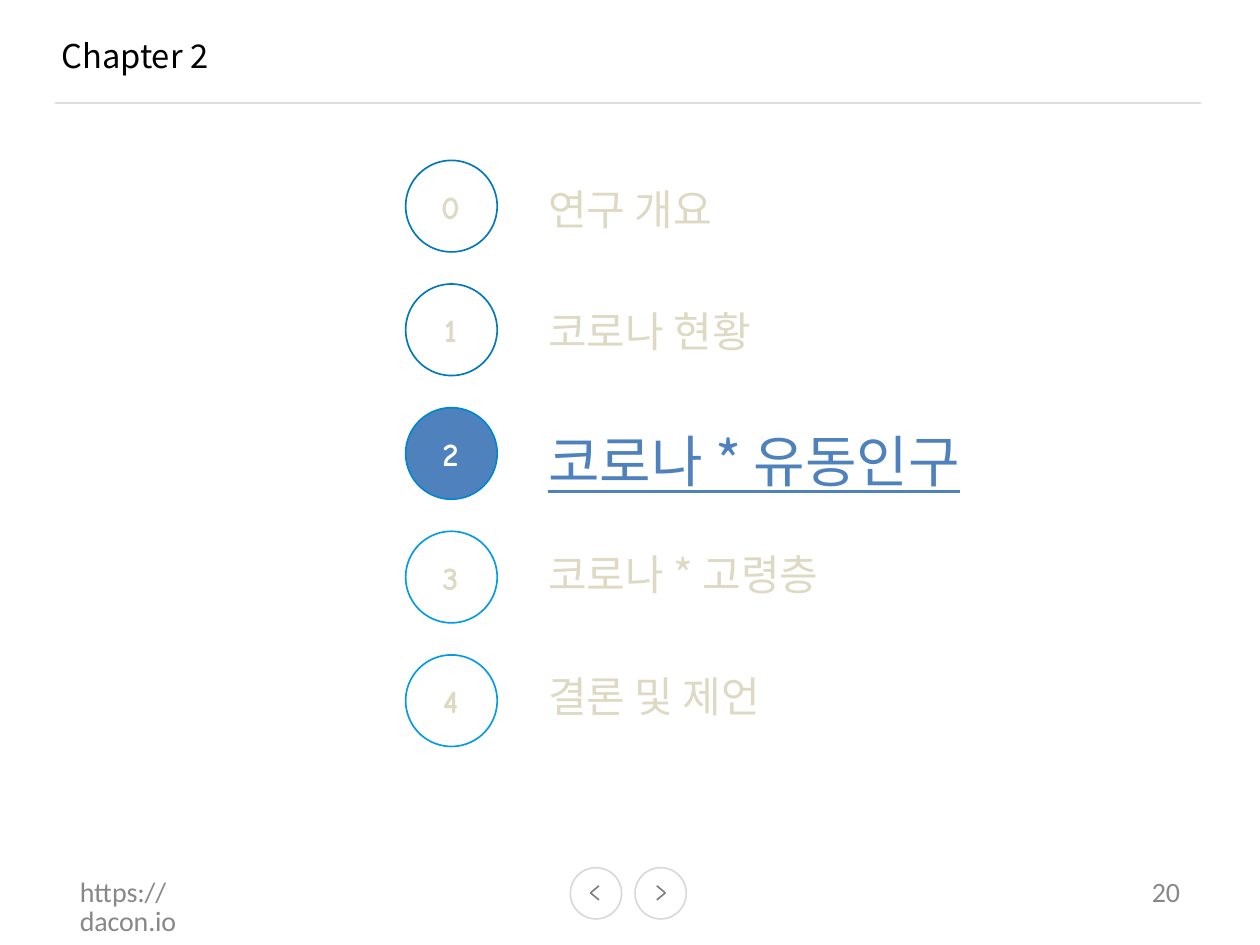
from lxml import etree
from pptx import Presentation
from pptx.dml.color import RGBColor
from pptx.enum.shapes import MSO_CONNECTOR, MSO_SHAPE
from pptx.enum.text import MSO_ANCHOR, MSO_AUTO_SIZE, PP_ALIGN
from pptx.oxml.ns import qn
from pptx.util import Inches, Pt

OVAL = MSO_SHAPE.OVAL
STRAIGHT = MSO_CONNECTOR.STRAIGHT
TOP, MIDDLE = MSO_ANCHOR.TOP, MSO_ANCHOR.MIDDLE
LEFT, CENTER, RIGHT = PP_ALIGN.LEFT, PP_ALIGN.CENTER, PP_ALIGN.RIGHT
NO_AUTOSIZE = MSO_AUTO_SIZE.NONE

KOREAN, DIGITS, FOOTER = "Noto Sans CJK KR", "Comic Neue", "Calibri"
BLACK, WHITE, BLUE, BEIGE = "000000", "FFFFFF", "4F81BD", "DDD9C3"
RULE, RING, CHEVRON, GREY = "DFDFDF", "D9D9D9", "7E7E7E", "888888"
THIN = 0.72

# Chapter label and ring colour
CHAPTERS = [
    ("연구 개요", "0177BC"),
    ("코로나 현황", "0177BC"),
    ("코로나 * 유동인구", "0187D1"),
    ("코로나 * 고령층", "039BE4"),
    ("결론 및 제언", "039BE4"),
]
CURRENT = 2


def rgb(value):
    return RGBColor.from_string(value)


def grid(*cells):
    """Columns and rows are a tenth of an inch each."""
    return [Inches(c / 10) for c in cells]


def write(tf, text, size=14, font=KOREAN, color=BLACK, bold=False, underline=False,
          align=LEFT, anchor=TOP, margins=(0, 0, 0, 0), leading=None, spacing=0):
    tf.word_wrap = True
    tf.auto_size = NO_AUTOSIZE
    tf.vertical_anchor = anchor
    tf.margin_left, tf.margin_top, tf.margin_right, tf.margin_bottom = grid(*margins)
    p = tf.paragraphs[0]
    p.alignment = align
    p.space_before = Pt(0)
    if leading:
        p.line_spacing = Pt(leading)
    r = p.add_run()
    r.text = text
    r.font.size, r.font.name = Pt(size), font
    r.font.bold, r.font.underline = bold, underline
    r.font.color.rgb = rgb(color)
    # Kerning off, letter spacing in hundredths of a point, East Asian typeface
    rpr = r.font._element
    rpr.set("kern", "0")
    rpr.set("spc", str(spacing))
    rpr.find(qn("a:latin")).addnext(rpr.makeelement(qn("a:ea"), {"typeface": font}))


class Deck:
    def __init__(self, width, height):
        self.prs = Presentation()
        self.prs.slide_width, self.prs.slide_height = grid(width, height)
        self.s = self.prs.slides.add_slide(self.prs.slide_layouts[5])

    def title(self, text, x, y, w, h, **style):
        sp = self.s.shapes.title
        sp.left, sp.top, sp.width, sp.height = grid(x, y, w, h)
        write(sp.text_frame, text, **style)

    def text(self, text, x, y, w, h, **style):
        sp = self.s.shapes.add_textbox(*grid(x, y, w, h))
        write(sp.text_frame, text, **style)

    def circle(self, x, y, size, line, fill=None):
        sp = self.s.shapes.add_shape(OVAL, *grid(x, y, size, size))
        sp.shadow.inherit = False
        if fill:
            sp.fill.solid()
            sp.fill.fore_color.rgb = rgb(fill)
        else:
            sp.fill.background()
        sp.line.color.rgb = rgb(line)
        sp.line.width = Pt(THIN)
        return sp

    def line(self, x1, y1, x2, y2, color):
        sp = self.s.shapes.add_connector(STRAIGHT, *grid(x1, y1, x2, y2))
        sp.line.color.rgb = rgb(color)
        sp.line.width = Pt(THIN)
        etree.SubElement(sp._element.spPr, qn("a:effectLst"))

    def chevron(self, tip, tail, y, rise):
        for end in (y - rise, y + rise):
            self.line(tip, y, tail, end, CHEVRON)


def main():
    deck = Deck(75, 56.25)

    # Header
    deck.title("Chapter 2", 3.65, 2.05, 12.2, 2.8, margins=(0, 0.1, 0, 0))
    deck.line(3.3, 6.12, 71.5, 6.12, RULE)

    # Chapter list
    for i, (label, ring) in enumerate(CHAPTERS):
        active = i == CURRENT
        sp = deck.circle(24.15, 9.55 + 7.36 * i, 5.45, ring, BLUE if active else None)
        write(sp.text_frame, str(i), font=DIGITS, bold=True, align=CENTER, anchor=MIDDLE,
              color=WHITE if active else BEIGE, margins=(0, 0, 0.1, 0))
        deck.text(label, 31.65, 10.42 + 7.25 * i, 30, 5 if active else 4,
                  size=24 if active else 18, color=BLUE if active else BEIGE,
                  underline=active, margins=(1, 0.5, 1, 0.5))

    # Navigation buttons
    for x, tip, tail in ((33.95, 35.15, 35.65), (37.8, 39.6, 39.1)):
        deck.circle(x, 51.65, 3.05, RING)
        deck.chevron(tip, tail, 53.15, 0.42)

    # Footer
    footer = dict(size=12, font=FOOTER, color=GREY, leading=12.4)
    deck.text("https://dacon.io", 4.75, 52.35, 10, 3.5, spacing=-5, **footer)
    deck.text("20", 66.25, 52.35, 4, 1.9, align=RIGHT, **footer)

    deck.prs.save("out.pptx")


if __name__ == "__main__":
    main()
